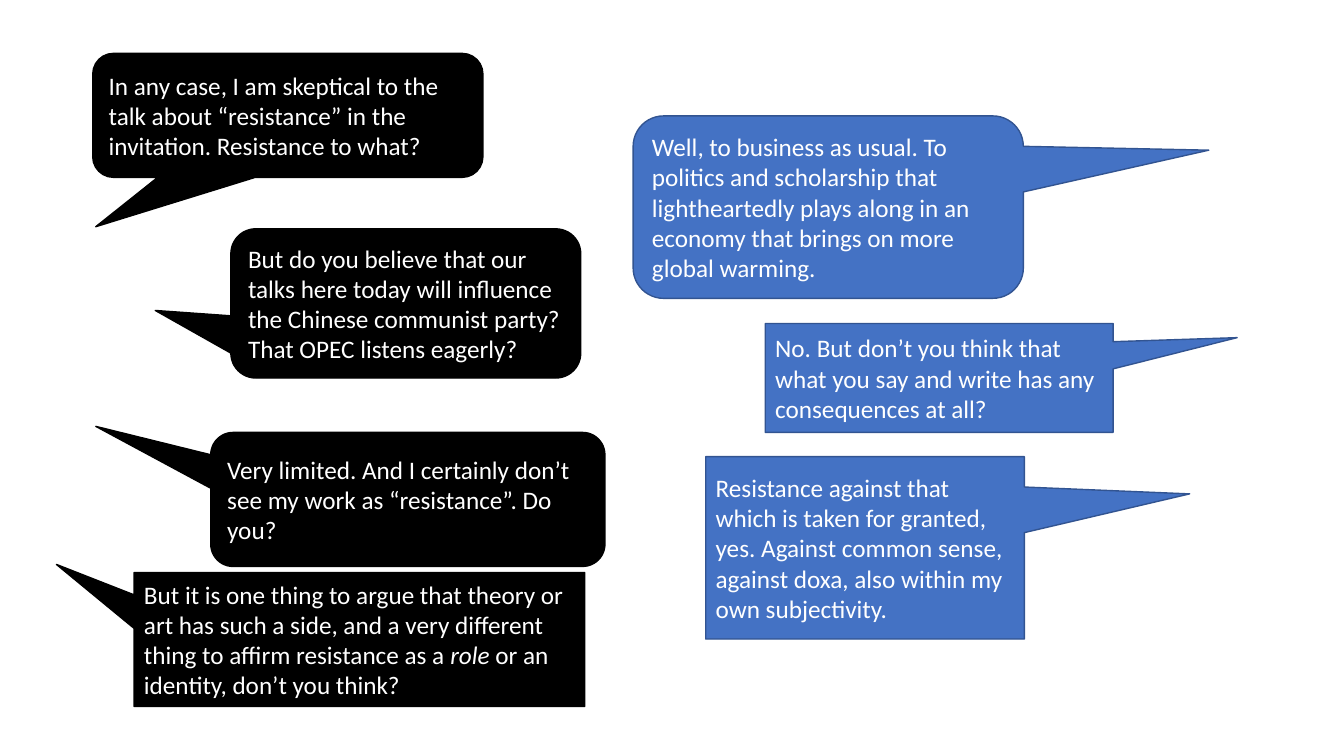
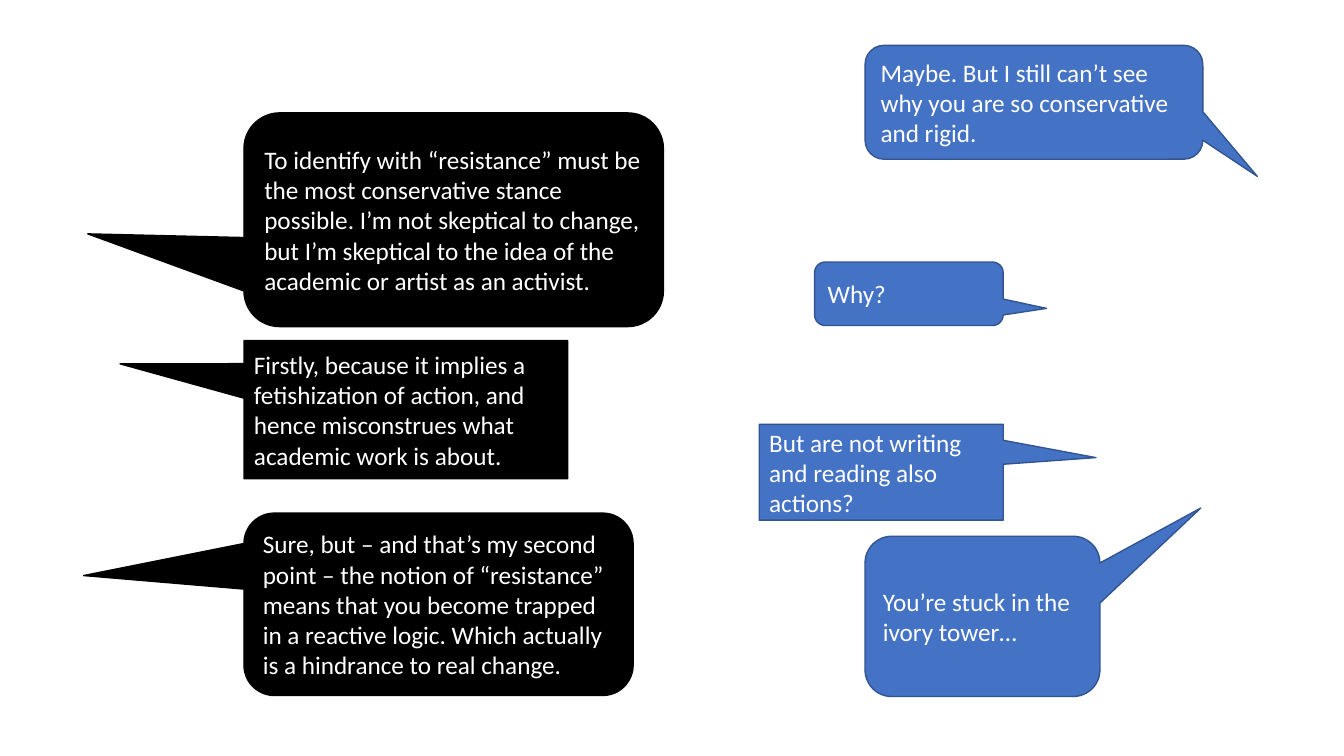
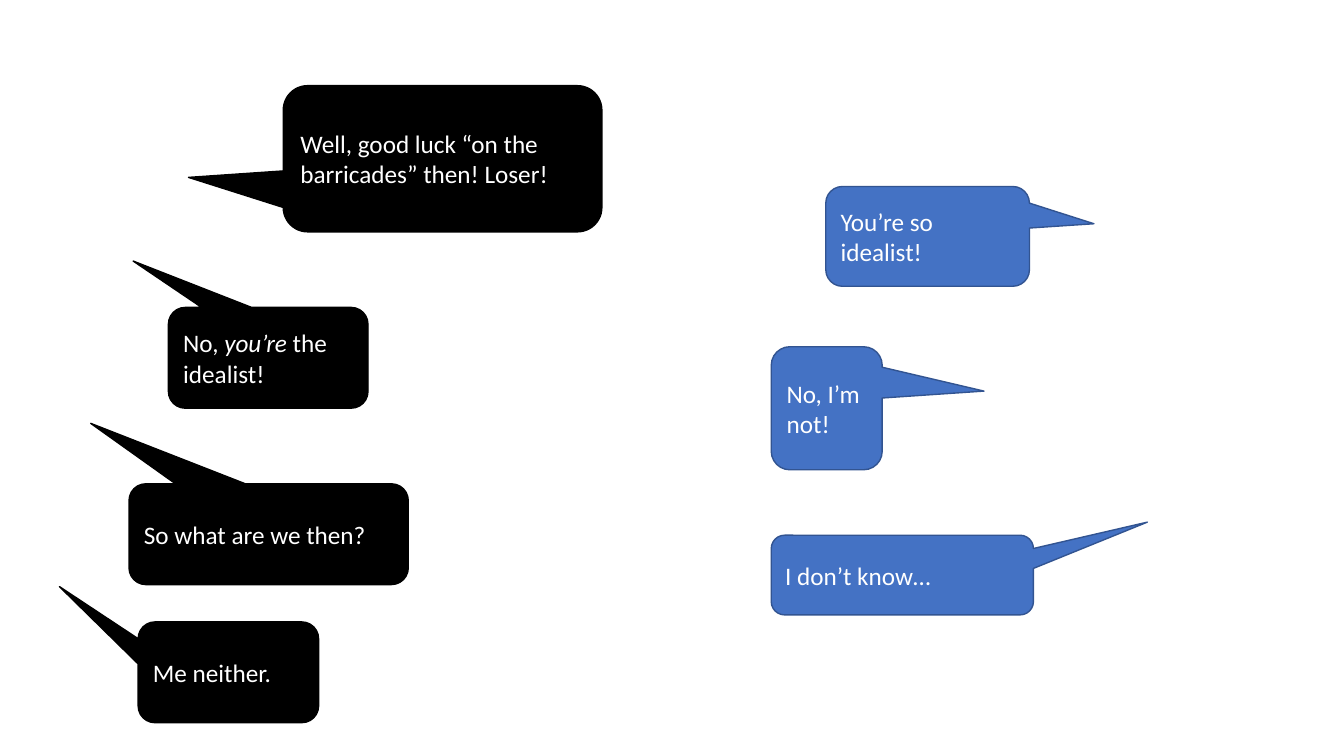
from pptx import Presentation
from pptx.dml.color import RGBColor
from pptx.enum.shapes import MSO_SHAPE
from pptx.enum.text import MSO_ANCHOR, PP_ALIGN
from pptx.util import Inches, Pt

BLACK = RGBColor(0x00, 0x00, 0x00)
BLUE = RGBColor(0x44, 0x72, 0xC4)
DARK_BLUE = RGBColor(0x32, 0x54, 0x91)
WHITE = RGBColor(0xFF, 0xFF, 0xFF)

SKEPTIC = {"fill": BLACK, "line": BLACK}
ACTIVIST = {"fill": BLUE, "line": DARK_BLUE}
FONT = {"name": "Calibri", "size": Pt(18)}
FRAME = {"word_wrap": True, "vertical_anchor": MSO_ANCHOR.MIDDLE}
ROUND = MSO_SHAPE.ROUNDED_RECTANGULAR_CALLOUT
SQUARE = MSO_SHAPE.RECTANGULAR_CALLOUT

# Each line: speaker, outline, box (left, top, width, height), tail tip (x, y), text
RESISTANCE = [
    (SKEPTIC, ROUND, (0.92, 0.53, 3.87, 1.23), (0.95, 2.25),
     "In any case, I am skeptical to the talk about “resistance” in the "
     "invitation. Resistance to what?"),
    (ACTIVIST, ROUND, (6.28, 1.15, 3.87, 1.81), (11.99, 1.49),
     "Well, to business as usual. To politics and scholarship that "
     "lightheartedly plays along in an economy that brings on more global warming."),
    (SKEPTIC, ROUND, (2.29, 2.27, 3.47, 1.48), (1.54, 3.08),
     "But do you believe that our talks here today will influence the Chinese "
     "communist party? That OPEC listens eagerly?"),
    (ACTIVIST, SQUARE, (7.59, 3.21, 3.45, 1.08), (12.27, 3.35),
     "No. But don’t you think that what you say and write has any "
     "consequences at all?"),
    (SKEPTIC, ROUND, (2.09, 4.29, 3.91, 1.33), (0.95, 4.23),
     "Very limited. And I certainly don’t see my work as “resistance”. Do you?"),
    (ACTIVIST, SQUARE, (7, 4.53, 3.16, 1.81), (11.8, 4.9),
     "Resistance against that which is taken for granted, yes. Against common "
     "sense, against doxa, also within my own subjectivity."),
    (SKEPTIC, SQUARE, (1.33, 5.68, 4.47, 1.33), (0.56, 5.6),
     "But it is one thing to argue that theory or art has such a side, and a very "
     "different thing to affirm resistance as a *role* or an identity, "
     "don’t you think?"),
]
ACTION = [
    (ACTIVIST, ROUND, (8.58, 0.45, 3.35, 1.13), (12.47, 1.75),
     "Maybe. But I still can’t see why you are so conservative and rigid."),
    (ACTIVIST, ROUND, (8.08, 2.6, 1.87, 0.63), (10.38, 3.06), "Why?"),
    (SKEPTIC, ROUND, (2.42, 1.12, 4.16, 2.12), (0.87, 2.32),
     "To identify with “resistance” must be the most conservative stance "
     "possible. I’m not skeptical to change, but I’m skeptical to the idea of "
     "the academic or artist as an activist."),
    (SKEPTIC, SQUARE, (2.42, 3.38, 3.21, 1.37), (1.19, 3.61),
     "Firstly, because it implies a fetishization of action, and hence "
     "misconstrues what academic work is about."),
    (ACTIVIST, SQUARE, (7.53, 4.21, 2.42, 0.95), (10.87, 4.54),
     "But are not writing and reading also actions?"),
    (SKEPTIC, ROUND, (2.42, 5.09, 3.86, 1.81), (0.83, 5.71),
     "Sure, but – and that’s my second point – the notion of “resistance” means "
     "that you become trapped in a reactive logic. Which actually is a hindrance "
     "to real change."),
    (ACTIVIST, ROUND, (8.58, 5.32, 2.33, 1.59), (11.91, 5.04),
     "You’re stuck in the ivory tower…"),
]
IDEALISM = [
    (SKEPTIC, ROUND, (2.81, 0.85, 3.16, 1.45), (1.87, 1.76),
     "Well, good luck “on the barricades” then! Loser!"),
    (ACTIVIST, ROUND, (8.19, 1.85, 2.02, 0.99), (10.85, 2.22), "You’re so idealist!"),
    (SKEPTIC, ROUND, (1.67, 3.05, 1.98, 1), (1.32, 2.59), "No, *you’re* the idealist!"),
    (ACTIVIST, ROUND, (7.65, 3.44, 1.1, 1.22), (9.76, 3.88), "No, I’m not!"),
    (SKEPTIC, ROUND, (1.28, 4.8, 2.77, 1), (0.9, 4.2), "So what are we then?"),
    (ACTIVIST, ROUND, (7.65, 5.31, 2.6, 0.79), (11.38, 5.18), "I don’t know…"),
    (SKEPTIC, ROUND, (1.37, 6.17, 1.79, 1), (0.59, 5.82), "Me neither."),
]


def set_attrs(obj, values):
    for name, value in values.items():
        setattr(obj, name, value)


def write_text(tf, text):
    """Write one paragraph; words between asterisks are italic."""
    set_attrs(tf, FRAME)
    p = tf.paragraphs[0]
    p.alignment = PP_ALIGN.LEFT
    for i, part in enumerate(text.split("*")):
        r = p.add_run()
        r.text = part
        set_attrs(r.font, FONT)
        r.font.color.rgb = WHITE
        if i % 2:
            r.font.italic = True


def add_bubble(s, speaker, outline, box, tip, text):
    """Place a speech bubble whose tail ends at tip."""
    left, top, width, height = box
    sp = s.shapes.add_shape(outline, *map(Inches, box))
    # The tail is measured from the centre, in fractions of the box
    sp.adjustments[0] = (tip[0] - left) / width - 0.5
    sp.adjustments[1] = (tip[1] - top) / height - 0.5
    sp.shadow.inherit = False
    sp.fill.solid()
    sp.fill.fore_color.rgb = speaker["fill"]
    sp.line.color.rgb = speaker["line"]
    sp.line.width = Pt(1)
    write_text(sp.text_frame, text)


def add_dialogue(prs, bubbles):
    s = prs.slides.add_slide(prs.slide_layouts[6])
    for bubble in bubbles:
        add_bubble(s, *bubble)


def main():
    prs = Presentation()
    set_attrs(prs, {"slide_width": Inches(13.33), "slide_height": Inches(7.5)})
    for bubbles in (RESISTANCE, ACTION, IDEALISM):
        add_dialogue(prs, bubbles)
    prs.save("out.pptx")


if __name__ == "__main__":
    main()
